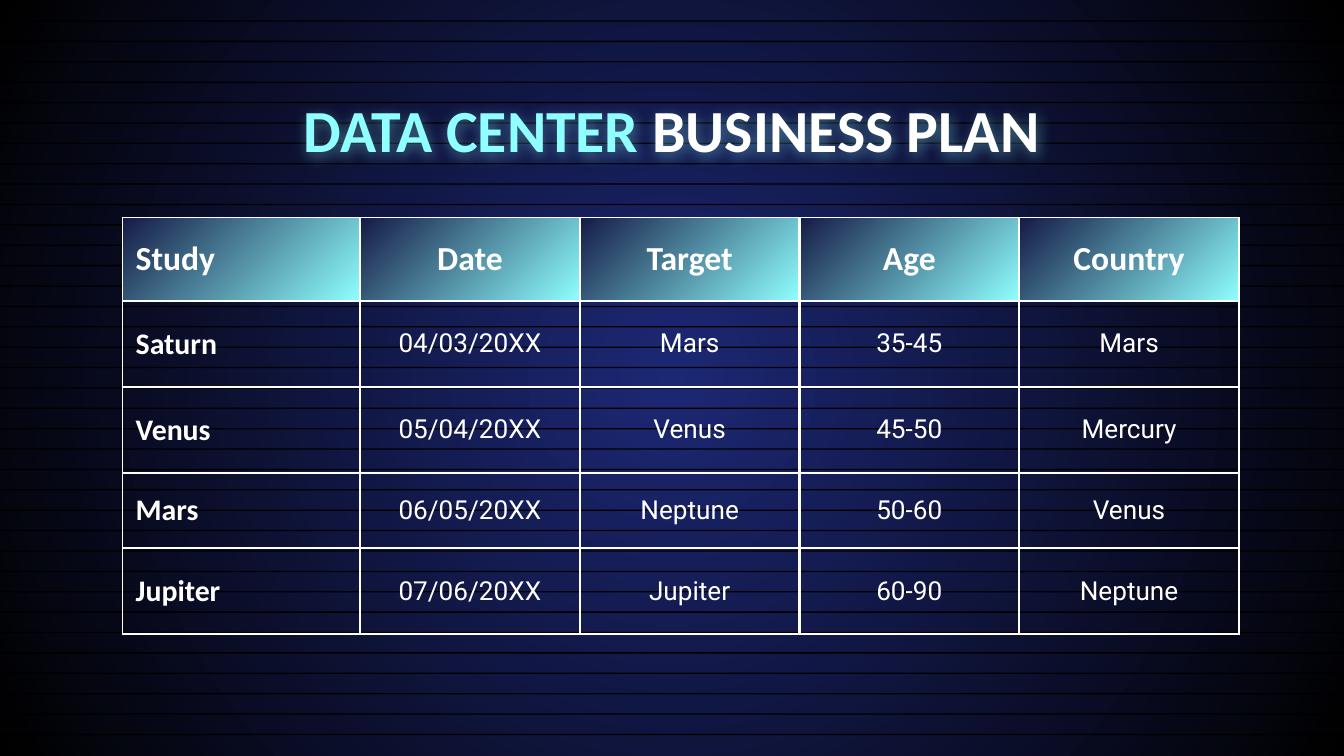
from lxml import etree
from pptx import Presentation
from pptx.dml.color import RGBColor
from pptx.enum.shapes import MSO_SHAPE
from pptx.enum.text import MSO_ANCHOR, PP_ALIGN
from pptx.oxml.ns import qn
from pptx.util import Inches, Pt

RECTANGLE = MSO_SHAPE.RECTANGLE
MIDDLE = MSO_ANCHOR.MIDDLE
LEFT, CENTER = PP_ALIGN.LEFT, PP_ALIGN.CENTER

WHITE = RGBColor(0xFF, 0xFF, 0xFF)
BLACK = RGBColor(0x00, 0x00, 0x00)
CYAN = RGBColor(0x8F, 0xFF, 0xFF)
NAVY = RGBColor(0x15, 0x1B, 0x46)
BLUE = RGBColor(0x1D, 0x28, 0x75)

WIDTH = 10
HEIGHT = WIDTH * 9 / 16
PADDING = Inches(0.1)
STRIPE_COUNT = 36
STRIPE_PITCH = 5.46 / STRIPE_COUNT
FIRST_COLUMN = 1.77
ROW_HEIGHTS = [0.62, 0.64, 0.64, 0.56, 0.64]
STUDIES = [
    ["Study", "Date", "Target", "Age", "Country"],
    ["Saturn", "04/03/20XX", "Mars", "35-45", "Mars"],
    ["Venus", "05/04/20XX", "Venus", "45-50", "Mercury"],
    ["Mars", "06/05/20XX", "Neptune", "50-60", "Venus"],
    ["Jupiter", "07/06/20XX", "Jupiter", "60-90", "Neptune"],
]


def set_gradient(fill, start, end):
    fill.gradient()
    for stop, color in zip(fill.gradient_stops, (start, end)):
        stop.color.rgb = color


def style_span(span, font, size, color, bold):
    span.font.name = font
    span.font.size = Pt(size)
    span.font.color.rgb = color
    span.font.bold = bold


def add_background(page, left, top, width):
    # Radial glow from the centre
    set_gradient(page.background.fill, BLUE, BLACK)
    linear = next(page.element.iter(qn("a:lin")))
    radial = etree.Element(qn("a:path"), {"path": "circle"})
    etree.SubElement(radial, qn("a:fillToRect"), dict.fromkeys("ltrb", "50000"))
    linear.getparent().replace(linear, radial)

    # Evenly spaced scan lines
    for index in range(1, STRIPE_COUNT + 1):
        stripe = page.shapes.add_shape(
            RECTANGLE, Inches(left), Inches(top + index * STRIPE_PITCH),
            Inches(width), Inches(0.01))
        stripe.shadow.inherit = False
        stripe.fill.solid()
        stripe.fill.fore_color.rgb = BLACK
        stripe.line.fill.background()


def add_glow(box):
    effects = etree.SubElement(box.element.spPr, qn("a:effectLst"))
    shadow = etree.SubElement(effects, qn("a:outerShdw"), {
        "blurRad": str(Pt(7)), "dist": str(Pt(1.5)), "dir": "5400000",
        "algn": "bl", "rotWithShape": "0"})
    color = etree.SubElement(shadow, qn("a:srgbClr"), val=str(CYAN))
    etree.SubElement(color, qn("a:alpha"), val="40000")


def add_title(page, left, top, width, height):
    box = page.shapes.add_textbox(
        Inches(left), Inches(top), Inches(width), Inches(height))
    frame = box.text_frame
    frame.word_wrap = True
    frame.margin_left = frame.margin_right = PADDING
    frame.margin_top = frame.margin_bottom = PADDING
    para = frame.paragraphs[0]
    para.alignment = CENTER
    for text, color in (("DATA CENTER ", CYAN), ("BUSINESS PLAN", WHITE)):
        span = para.add_run()
        span.text = text
        style_span(span, "Calibri", 32, color, True)
    add_glow(box)


def set_borders(cell, widths):
    properties = cell._tc.get_or_add_tcPr()
    for side, points in widths.items():
        line = etree.SubElement(
            properties, qn(f"a:ln{side}"), w=str(Pt(points)))
        paint = etree.SubElement(line, qn("a:solidFill"))
        etree.SubElement(paint, qn("a:srgbClr"), val=str(WHITE))


def style_cell(cell, text, is_header, is_first):
    cell.vertical_anchor = MIDDLE
    cell.margin_left = cell.margin_right = PADDING
    cell.margin_top = cell.margin_bottom = PADDING

    # Thinner outer edge on the left and top; borders come before the fill
    set_borders(cell, {"L": 0.75 if is_first else 1.5, "R": 1.5,
                       "T": 0.75 if is_header else 1.5, "B": 1.5})
    if is_header:
        set_gradient(cell.fill, NAVY, CYAN)
        cell.fill.gradient_angle = 315
    else:
        cell.fill.background()

    para = cell.text_frame.paragraphs[0]
    para.text = text
    para.alignment = LEFT if is_first else CENTER
    bold = is_header or is_first
    size = 18 if is_header else 16 if is_first else 14
    style_span(para.runs[0], "Calibri" if bold else "Roboto", size, WHITE, bold)


def add_study_table(page, left, top, width, height):
    column_count = len(STUDIES[0])
    table = page.shapes.add_table(
        len(STUDIES), column_count, Inches(left), Inches(top),
        Inches(width), Inches(height)).table
    table.first_row = table.horz_banding = False
    other_column = (width - FIRST_COLUMN) / (column_count - 1)
    for index, column in enumerate(table.columns):
        column.width = Inches(other_column if index else FIRST_COLUMN)
    for row, row_height in zip(table.rows, ROW_HEIGHTS):
        row.height = Inches(row_height)
    for row_index, record in enumerate(STUDIES):
        for column_index, text in enumerate(record):
            style_cell(table.cell(row_index, column_index), text,
                       row_index == 0, column_index == 0)


def main():
    deck = Presentation()
    deck.slide_width, deck.slide_height = Inches(WIDTH), Inches(HEIGHT)
    page = deck.slides.add_slide(deck.slide_layouts[6])
    add_background(page, 0, 0, WIDTH)
    add_title(page, 0.78, 0.59, 8.44, 0.62)
    add_study_table(page, 0.91, 1.62, 8.31, sum(ROW_HEIGHTS))
    deck.save("out.pptx")


if __name__ == "__main__":
    main()
